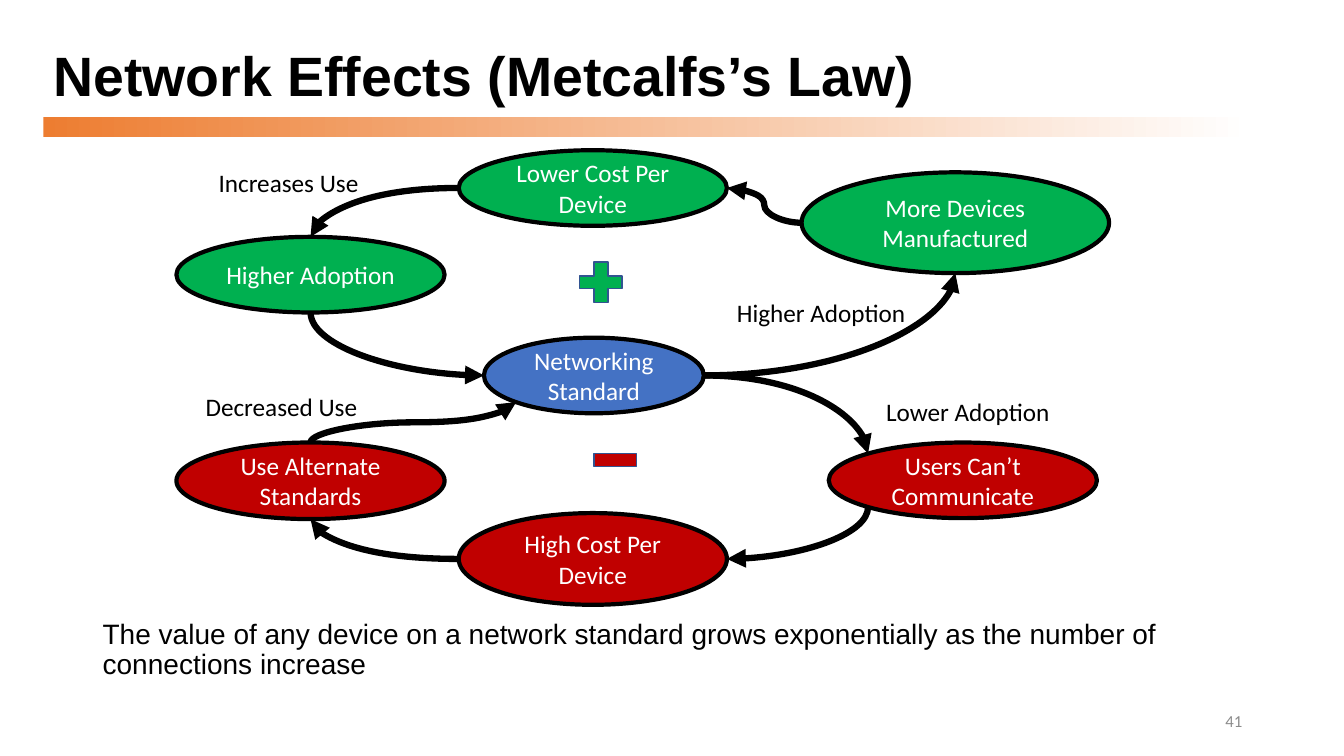
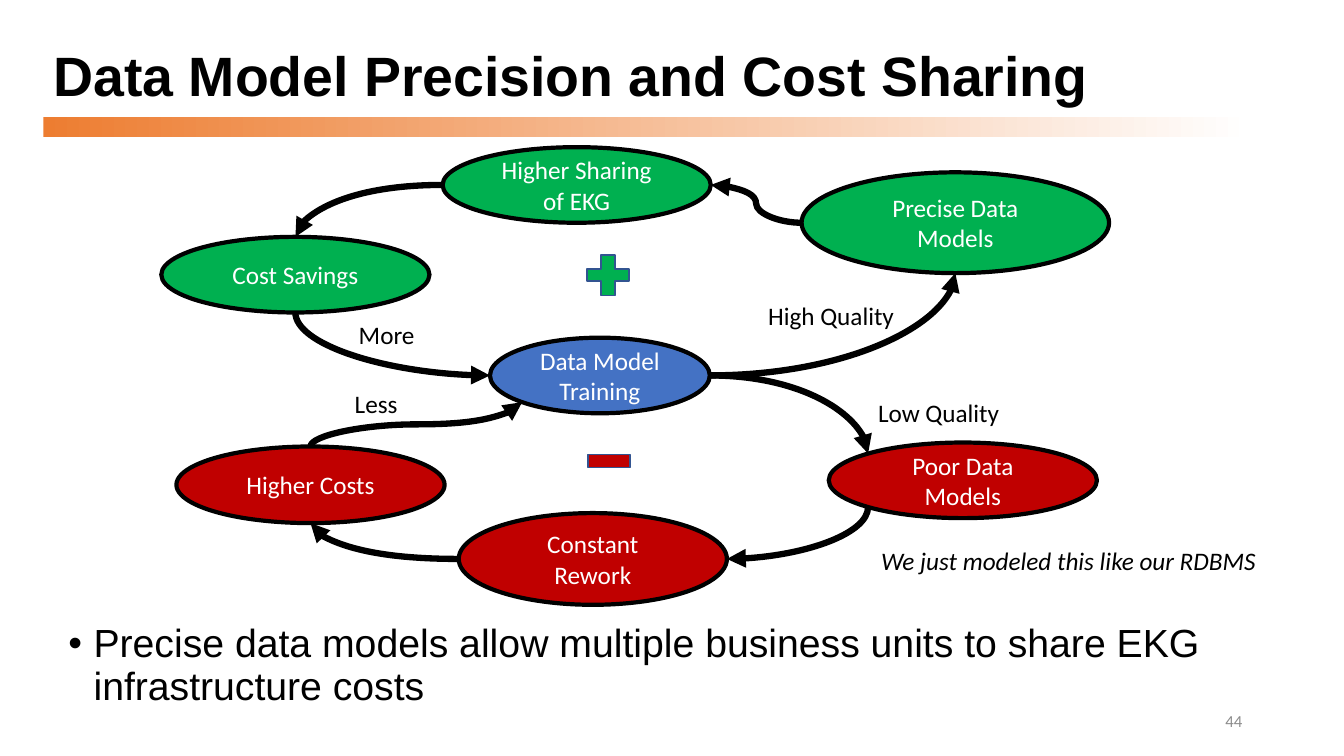
"""Build two feedback-loop slides joined by curved arrows."""
from math import cos, pi, sin

from lxml.etree import SubElement
from pptx import Presentation
from pptx.dml.color import RGBColor
from pptx.enum.shapes import MSO_CONNECTOR, MSO_SHAPE
from pptx.enum.text import MSO_ANCHOR, MSO_AUTO_SIZE, PP_ALIGN
from pptx.oxml.ns import qn
from pptx.util import Pt

PX = 9144
COLORS = {
    "orange": "ED7D31", "white": "FFFFFF", "black": "000000", "gray": "8C8C8C",
    "blue": "4472C4", "green": "00B050", "red": "C00000", "outline": "325491",
}
HEAD, BODY = "Arial", "Calibri"
TITLE_BOX = (43, 40, 1198, 76)
BAND_BOX = (43, 116, 1198, 20)
NUMBER_BOX = (942, 695, 300, 40)
PLUS_SIZE, MINUS_SIZE = (42, 40), (42, 13)
LABEL_HEIGHT = 40

NODE_STYLES = {
    "core": ("blue", 218, 75),
    "good_right": ("green", 305, 100),
    "good_top": ("green", 266, 75),
    "good_left": ("green", 266, 75),
    "bad_right": ("red", 266, 75),
    "bad_bottom": ("red", 266, 91),
    "bad_left": ("red", 266, 76),
}
TOP, TOP_LEFT, LEFT, BOTTOM_LEFT, BOTTOM, RIGHT = 0, 1, 2, 3, 4, 6
ARROWS = [
    ("core", RIGHT, "good_right", BOTTOM),
    ("good_right", LEFT, "good_top", RIGHT),
    ("good_top", LEFT, "good_left", TOP),
    ("good_left", BOTTOM, "core", LEFT),
    ("core", RIGHT, "bad_right", TOP_LEFT),
    ("bad_right", BOTTOM_LEFT, "bad_bottom", RIGHT),
    ("bad_bottom", LEFT, "bad_left", BOTTOM),
    ("bad_left", TOP, "core", BOTTOM_LEFT),
]

SLIDES = [
    {
        "title": "Network Effects (Metcalfs’s Law)",
        "number": "41",
        "nodes": {
            "core": (["Networking", "Standard"], 480, 335),
            "good_right": (["More Devices", "Manufactured"], 795, 171),
            "good_top": (["Lower Cost Per", "Device"], 455, 149),
            "good_left": (["Higher Adoption"], 175, 235),
            "bad_right": (["Users Can’t Communicate"], 822, 439),
            "bad_bottom": (["High Cost Per Device"], 455, 509),
            "bad_left": (["Use Alternate Standards"], 175, 439),
        },
        "plus": (575, 260),
        "minus": (589, 450),
        "labels": [
            ("Increases Use", 207, 161, 160, False),
            ("Lower Adoption", 869, 388, 184, False),
            ("Higher Adoption", 721, 290, 189, False),
            ("Decreased Use", 194, 383, 172, False),
        ],
        "summary": "The value of any device on a network standard grows "
                   "exponentially as the number of connections increase",
        "summary_box": (92, 610, 1150, 72),
        "summary_size": 20,
        "bullet": False,
    },
    {
        "title": "Data Model Precision and Cost Sharing",
        "number": "44",
        "nodes": {
            "core": (["Data Model", "Training"], 486, 335),
            "good_right": (["Precise Data Models"], 795, 171),
            "good_top": (["Higher Sharing of EKG"], 439, 146),
            "good_left": (["Cost Savings"], 160, 235),
            "bad_right": (["Poor Data Models"], 822, 439),
            "bad_bottom": (["Constant Rework"], 455, 509),
            "bad_left": (["Higher Costs"], 175, 443),
        },
        "plus": (582, 253),
        "minus": (583, 451),
        "labels": [
            ("Low Quality", 861, 389, 142, False),
            ("High Quality", 752, 293, 147, False),
            ("We just modeled this like our RDBMS", 864, 536, 401, True),
            ("More", 346, 312, 76, False),
            ("Less", 342, 380, 63, False),
        ],
        "summary": "Precise data models allow multiple business units to share "
                   "EKG infrastructure costs",
        "summary_box": (58, 614, 1150, 98),
        "summary_size": 28,
        "bullet": True,
    },
]


def rgb(name):
    return RGBColor.from_string(COLORS[name])


def emu(*lengths):
    return [round(v * PX) for v in lengths]


def write(p, text, size, font, color, bold=False, italic=False):
    r = p.add_run()
    r.text = text
    r.font.size, r.font.name = Pt(size), font
    r.font.bold, r.font.italic = bold, italic
    r.font.color.rgb = rgb(color)


def add_box(slide, box, wrap=True):
    tf = slide.shapes.add_textbox(*emu(*box)).text_frame
    tf.word_wrap = wrap
    return tf


def add_solid(slide, kind, box, fill, line, width):
    sp = slide.shapes.add_shape(kind, *emu(*box))
    sp.shadow.inherit = False
    sp.fill.solid()
    sp.fill.fore_color.rgb = rgb(fill)
    sp.line.color.rgb = rgb(line)
    sp.line.width = Pt(width)
    return sp


def add_node(slide, lines, box, fill):
    sp = add_solid(slide, MSO_SHAPE.OVAL, box, fill, "black", 3)
    tf = sp.text_frame
    tf.vertical_anchor = MSO_ANCHOR.MIDDLE
    for i, line in enumerate(lines):
        p = tf.add_paragraph() if i else tf.paragraphs[0]
        p.alignment = PP_ALIGN.CENTER
        write(p, line, 18, BODY, "white")
    return sp


def site_point(sp, site):
    angle = site * pi / 4
    return (sp.left + sp.width / 2 * (1 - sin(angle)),
            sp.top + sp.height / 2 * (1 - cos(angle)))


def add_arrow(slide, start, start_site, end, end_site):
    (x1, y1), (x2, y2) = site_point(start, start_site), site_point(end, end_site)
    dx, dy = x2 - x1, y2 - y1
    sideways = [site in (LEFT, RIGHT) for site in (start_site, end_site)]
    if sideways[0]:
        w, h = abs(dx), abs(dy)
        turn = 180 if dx < 0 else 0
        flip_h, flip_v = False, (dx < 0) != (dy < 0)
    else:
        w, h = abs(dy), abs(dx)
        turn = 270 if dx > 0 and dy > 0 else 90
        flip_h, flip_v = dx > 0, dy < 0
    left, top = (x1 + x2 - w) / 2, (y1 + y2 - h) / 2
    corners = [round(v) for v in (left, top, left + w, top + h)]
    cxn = slide.shapes.add_connector(MSO_CONNECTOR.CURVE, *corners)
    cxn.line.color.rgb = rgb("black")
    cxn.line.width = Pt(4.5)

    pr = cxn._element.spPr
    xfrm = pr.find(qn("a:xfrm"))
    for key, value in (("rot", turn * 60000), ("flipH", int(flip_h)), ("flipV", int(flip_v))):
        if value:
            xfrm.set(key, str(value))
    bends = 3 if sideways[0] == sideways[1] else 2
    pr.find(qn("a:prstGeom")).set("prst", f"curvedConnector{bends}")
    SubElement(pr.find(qn("a:ln")), qn("a:tailEnd"), type="triangle")
    SubElement(pr, qn("a:effectLst"))
    joints = cxn._element.find(".//" + qn("p:cNvCxnSpPr"))
    for tag, sp, site in (("a:stCxn", start, start_site), ("a:endCxn", end, end_site)):
        SubElement(joints, qn(tag), id=str(sp.shape_id), idx=str(site))


def add_band(slide, layout):
    sp = slide.shapes.add_shape(MSO_SHAPE.RECTANGLE, *emu(*BAND_BOX))
    sp.shadow.inherit = False
    sp.line.fill.background()
    sp.fill.gradient()
    sp.fill.gradient_angle = 0
    for stop, color, position in zip(sp.fill.gradient_stops, ("orange", "white"), (0, 1)):
        stop.color.rgb = rgb(color)
        stop.position = position
    layout.shapes._spTree.append(sp._element)


def add_title(slide, text):
    sp = slide.shapes.title
    sp.left, sp.top, sp.width, sp.height = emu(*TITLE_BOX)
    tf = sp.text_frame
    tf.word_wrap = True
    tf.auto_size = MSO_AUTO_SIZE.NONE
    tf.vertical_anchor = MSO_ANCHOR.MIDDLE
    p = tf.paragraphs[0]
    p.alignment = PP_ALIGN.LEFT
    p.line_spacing = 0.9
    write(p, text, 39.6, HEAD, "black", bold=True)


def add_number(slide, number):
    tf = add_box(slide, NUMBER_BOX)
    tf.vertical_anchor = MSO_ANCHOR.MIDDLE
    p = tf.paragraphs[0]
    p.alignment = PP_ALIGN.RIGHT
    write(p, number, 12, BODY, "gray")


def add_summary(slide, data):
    p = add_box(slide, data["summary_box"]).paragraphs[0]
    p.line_spacing = 0.9
    if data["bullet"]:
        pr = p._p.get_or_add_pPr()
        indent = 25 * PX
        pr.set("marL", str(indent))
        pr.set("indent", str(-indent))
        SubElement(pr, qn("a:buFont"), typeface=HEAD)
        SubElement(pr, qn("a:buChar"), char="•")
    write(p, data["summary"], data["summary_size"], HEAD, "black")


def add_diagram(slide, data):
    nodes = {}
    for role, (lines, x, y) in data["nodes"].items():
        fill, w, h = NODE_STYLES[role]
        nodes[role] = add_node(slide, lines, (x, y, w, h), fill)
    for start, start_site, end, end_site in ARROWS:
        add_arrow(slide, nodes[start], start_site, nodes[end], end_site)
    plus = add_solid(slide, MSO_SHAPE.CROSS, data["plus"] + PLUS_SIZE, "green", "outline", 1)
    plus.adjustments[0] = 0.35
    add_solid(slide, MSO_SHAPE.RECTANGLE, data["minus"] + MINUS_SIZE, "red", "outline", 1)
    for text, x, y, w, italic in data["labels"]:
        tf = add_box(slide, (x, y, w, LABEL_HEIGHT), wrap=False)
        tf.auto_size = MSO_AUTO_SIZE.SHAPE_TO_FIT_TEXT
        write(tf.paragraphs[0], text, 18, BODY, "black", italic=italic)


def main():
    prs = Presentation()
    prs.slide_width, prs.slide_height = emu(1333, 750)
    layout = prs.slide_layouts[5]
    for i, data in enumerate(SLIDES):
        slide = prs.slides.add_slide(layout)
        if i == 0:
            add_band(slide, layout)
        add_title(slide, data["title"])
        add_summary(slide, data)
        add_number(slide, data["number"])
        add_diagram(slide, data)
    prs.save("out.pptx")


if __name__ == "__main__":
    main()
